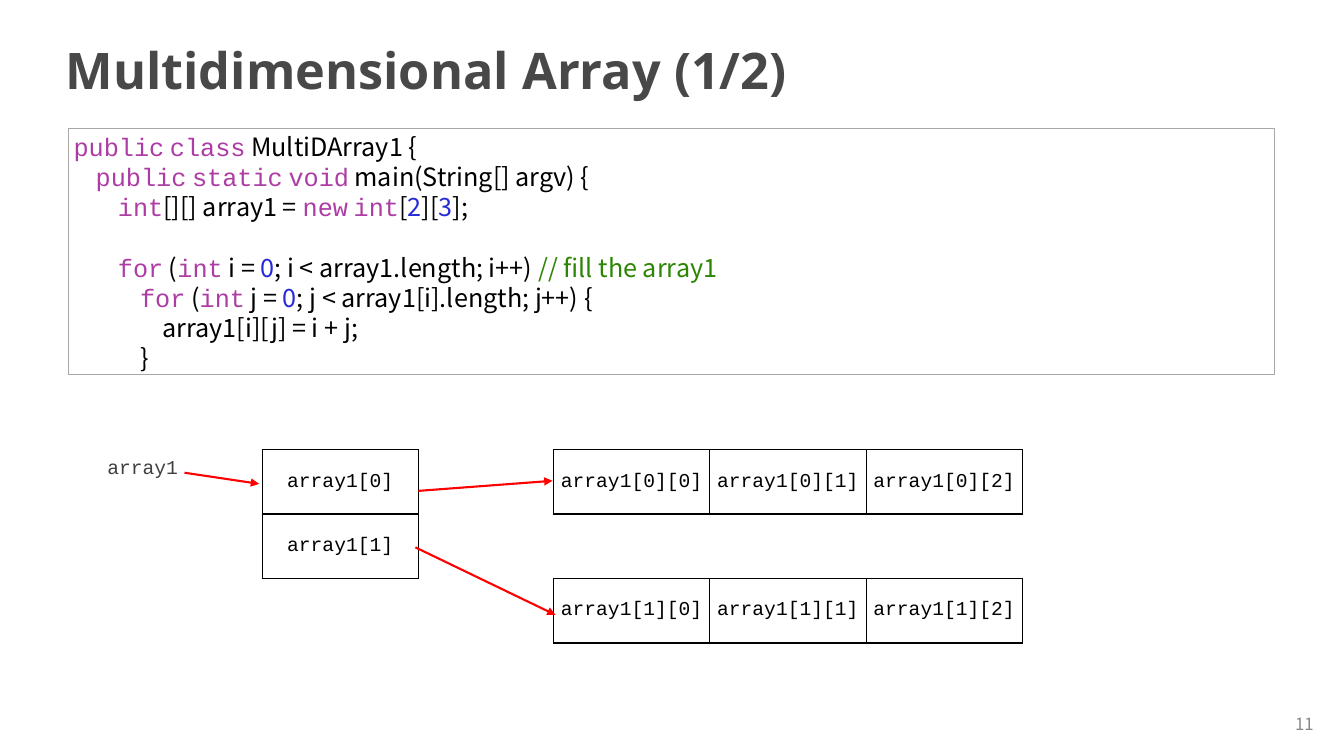
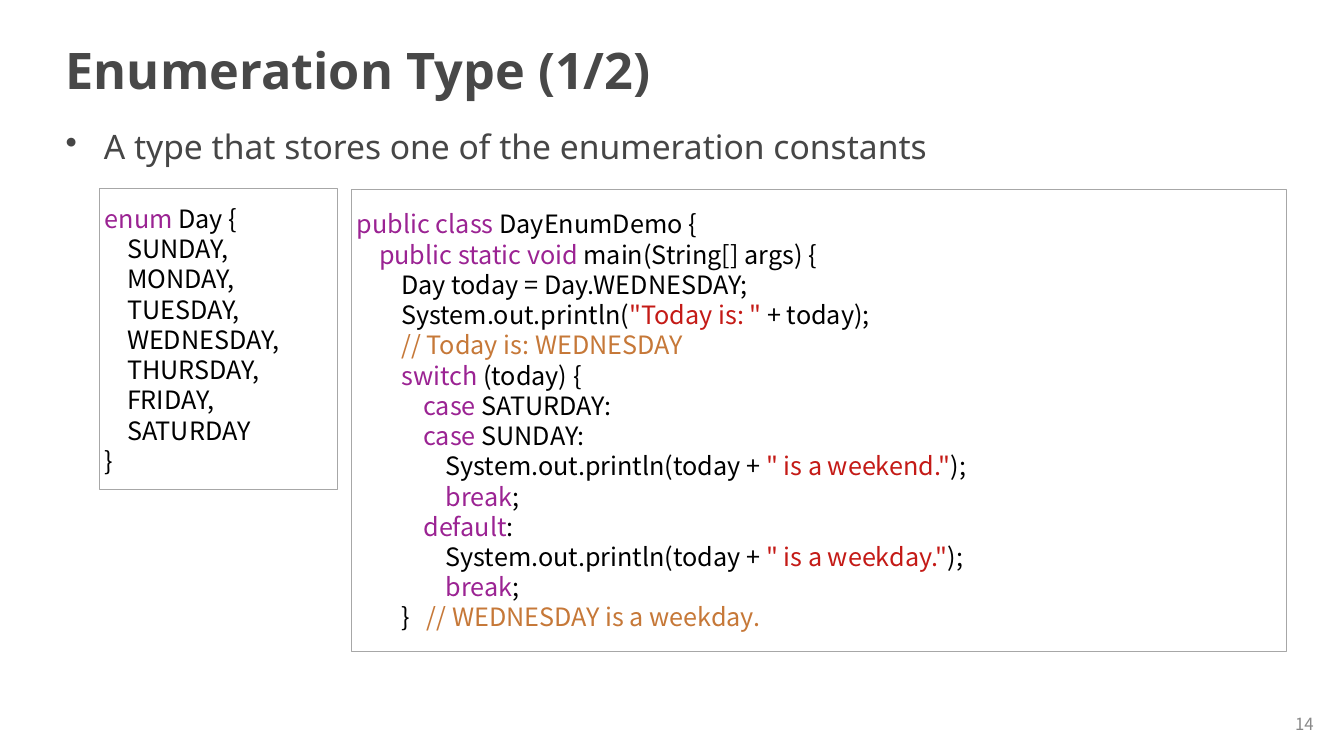
import itertools

import pptx
import pptx.dml.color
import pptx.enum.shapes
import pptx.enum.text
import pptx.oxml
import pptx.oxml.ns
import pptx.util

Inches = pptx.util.Inches
Pt = pptx.util.Pt
RGBColor = pptx.dml.color.RGBColor
ALIGN = pptx.enum.text.PP_ALIGN
ANCHOR = pptx.enum.text.MSO_ANCHOR

BLACK = RGBColor(0x00, 0x00, 0x00)
TITLE_GRAY = RGBColor(0x48, 0x48, 0x48)
BODY_GRAY = RGBColor(0x46, 0x46, 0x46)
LABEL_GRAY = RGBColor(0x40, 0x40, 0x40)
NUMBER_GRAY = RGBColor(0x88, 0x88, 0x88)
FRAME_GRAY = RGBColor(0xA7, 0xA7, 0xA7)
ARROW_RED = RGBColor(0xFF, 0x00, 0x00)

SANS = "Noto Sans"
CODE_SANS = "Noto Sans CJK KR"
MONO = "Courier New"

CODE_SIZE = 18
CODE_LINE_HEIGHT = Pt(21.6)
CODE_INDENT = Inches(0.22)
INSET = Inches(0.05)

KEYWORDS = {"public", "class", "static", "void", "int", "new", "for", "enum",
            "switch", "case", "break", "default"}

# Each kind of token has a colour and a font.
ARRAY_THEME = {
    "plain": (BLACK, CODE_SANS),
    "keyword": (RGBColor(0xAD, 0x3D, 0xA4), MONO),
    "number": (RGBColor(0x27, 0x2A, 0xD8), CODE_SANS),
    "comment": (RGBColor(0x2D, 0x85, 0x04), CODE_SANS),
}
ENUM_THEME = {
    "plain": (BLACK, CODE_SANS),
    "keyword": (RGBColor(0x9B, 0x23, 0x93), CODE_SANS),
    "string": (RGBColor(0xC4, 0x1A, 0x16), CODE_SANS),
    "comment": (RGBColor(0xC6, 0x78, 0x38), CODE_SANS),
}

# Code lines are (indent level, text).
ARRAY_CODE = [
    (0, "public class MultiDArray1 {"),
    (1, "public static void main(String[] argv) {"),
    (2, "int[][] array1 = new int[2][3];"),
    (0, ""),
    (2, "for (int i = 0; i < array1.length; i++) // fill the array1"),
    (3, "for (int j = 0; j < array1[i].length; j++) {"),
    (4, "array1[i][j] = i + j;"),
    (3, "}"),
]
DAYS = ["SUNDAY,", "MONDAY,", "TUESDAY,", "WEDNESDAY,", "THURSDAY,", "FRIDAY,",
        "SATURDAY"]
DAY_CODE = [(0, "enum Day {"), *((1, day) for day in DAYS), (0, "}")]
DEMO_CODE = [
    (0, "public class DayEnumDemo {"),
    (1, "public static void main(String[] args) {"),
    (2, "Day today = Day.WEDNESDAY;"),
    (2, 'System.out.println("Today is: " + today);'),
    (2, "// Today is: WEDNESDAY"),
    (2, "switch (today) {"),
    (3, "case SATURDAY:"),
    (3, "case SUNDAY:"),
    (4, 'System.out.println(today + " is a weekend.");'),
    (4, "break;"),
    (3, "default:"),
    (4, 'System.out.println(today + " is a weekday.");'),
    (4, "break;"),
    (2, "}   // WEDNESDAY is a weekday."),
]

ROW_TABLE = [["array1[0]"], ["array1[1]"]]
CELL_TABLE = [
    [f"array1[0][{column}]" for column in range(3)],
    [""] * 3,
    [f"array1[1][{column}]" for column in range(3)],
]
CELL_WIDTH = 1.55
CELL_HEIGHT = 0.64
ARROWS = [((1.83, 4.69), (2.57, 4.8)),
          ((4.15, 4.87), (5.48, 4.77)),
          ((4.12, 5.43), (5.51, 6.1))]


def add_run(paragraph, text, size, color, font=SANS, bold=False):
    run = paragraph.add_run()
    run.text = text
    run.font.size = Pt(size)
    run.font.color.rgb = color
    run.font.name = font
    run.font.bold = bold


def set_insets(target, vertical=INSET):
    target.margin_left = target.margin_right = INSET
    target.margin_top = target.margin_bottom = vertical


def add_text(slide, text, box, align=ALIGN.LEFT, anchor=ANCHOR.MIDDLE, wrap=True,
             **run_format):
    frame = slide.shapes.add_textbox(*map(Inches, box)).text_frame
    frame.word_wrap = wrap
    frame.vertical_anchor = anchor
    set_insets(frame)
    paragraph = frame.paragraphs[0]
    paragraph.alignment = align
    add_run(paragraph, text, **run_format)
    return paragraph


def add_bullet(slide, text, box):
    paragraph = add_text(slide, text, box, anchor=ANCHOR.TOP, size=24, color=BODY_GRAY)
    properties = paragraph._p.get_or_add_pPr()
    properties.set("marL", str(Inches(0.38)))
    properties.set("indent", str(-Inches(0.38)))
    bullet = pptx.oxml.ns.qn("a:buChar")
    properties.append(properties.makeelement(bullet, {"char": "•"}))


def code_tokens(line):
    """Yield (kind, text) for every token of a line of Java."""
    code, slashes, comment = line.partition("//")
    for index, piece in enumerate(code.split('"')):
        if index % 2:
            yield "string", f'"{piece}"'
            continue
        for _, characters in itertools.groupby(piece, str.isalnum):
            word = "".join(characters)
            kind = ("keyword" if word in KEYWORDS
                    else "number" if word.isdigit() else "plain")
            yield kind, word
    if slashes:
        yield "comment", slashes + comment


def add_code(slide, lines, box, theme):
    shape = slide.shapes.add_shape(pptx.enum.shapes.MSO_SHAPE.RECTANGLE,
                                   *map(Inches, box))
    shape.shadow.inherit = False
    shape.fill.background()
    shape.line.color.rgb = FRAME_GRAY
    shape.line.width = Pt(0.75)
    frame = shape.text_frame
    frame.word_wrap = True
    frame.vertical_anchor = ANCHOR.MIDDLE
    set_insets(frame, vertical=0)
    for index, (level, line) in enumerate(lines):
        paragraph = frame.add_paragraph() if index else frame.paragraphs[0]
        paragraph.alignment = ALIGN.LEFT
        paragraph.line_spacing = CODE_LINE_HEIGHT
        paragraph._p.get_or_add_pPr().set("marL", str(level * CODE_INDENT))
        for kind, tokens in itertools.groupby(code_tokens(line), lambda token: token[0]):
            color, font = theme[kind]
            add_run(paragraph, "".join(text for _, text in tokens), CODE_SIZE, color, font)


def set_borders(cell, sides):
    """Draw a black border on the named sides (L, R, T, B) and none elsewhere."""
    properties = cell._tc.get_or_add_tcPr()
    for position, side in enumerate("LRTB"):
        paint = (f'<a:solidFill><a:srgbClr val="{BLACK}"/></a:solidFill>'
                 if side in sides else "<a:noFill/>")
        border = pptx.oxml.parse_xml(
            f'<a:ln{side} {pptx.oxml.ns.nsdecls("a")} w="{Pt(1)}">{paint}</a:ln{side}>')
        properties.insert(position, border)


def add_array_table(slide, rows, left, top):
    """Draw an array as a table; empty cells keep only horizontal borders."""
    column_count = len(rows[0])
    table = slide.shapes.add_table(
        len(rows), column_count, Inches(left), Inches(top),
        Inches(CELL_WIDTH * column_count), Inches(CELL_HEIGHT * len(rows))).table
    table.first_row = table.horz_banding = False
    for row, texts in enumerate(rows):
        for column, text in enumerate(texts):
            cell = table.cell(row, column)
            cell.fill.background()
            cell.vertical_anchor = ANCHOR.MIDDLE
            set_insets(cell)
            set_borders(cell, "LRTB" if text else "TB")
            if text:
                paragraph = cell.text_frame.paragraphs[0]
                paragraph.alignment = ALIGN.CENTER
                add_run(paragraph, text, 14, BLACK, MONO)


def add_arrow(slide, start, end):
    connector = slide.shapes.add_connector(
        pptx.enum.shapes.MSO_CONNECTOR.STRAIGHT, *map(Inches, start + end))
    connector.line.color.rgb = ARROW_RED
    connector.line.width = Pt(1.5)
    line = connector.line._get_or_add_ln()
    line.append(line.makeelement(pptx.oxml.ns.qn("a:tailEnd"), {"type": "triangle"}))
    properties = connector._element.spPr
    properties.append(properties.makeelement(pptx.oxml.ns.qn("a:effectLst"), {}))


def add_titled_slide(presentation, title, number):
    slide = presentation.slides.add_slide(presentation.slide_layouts[6])
    add_text(slide, title, (0.6, 0.29, 12.08, 0.79), size=36, color=TITLE_GRAY, bold=True)
    add_text(slide, str(number), (12.77, 7.04, 0.31, 0.28), align=ALIGN.RIGHT, wrap=False,
             size=12, color=NUMBER_GRAY, font=CODE_SANS)
    return slide


def build_array_slide(presentation):
    slide = add_titled_slide(presentation, "Multidimensional Array (1/2)", 11)
    add_code(slide, ARRAY_CODE, (0.68, 1.28, 11.96, 2.44), ARRAY_THEME)
    add_text(slide, "array1", (1.01, 4.45, 0.81, 0.35), align=ALIGN.CENTER, wrap=False,
             size=14, color=LABEL_GRAY, font=MONO)
    add_array_table(slide, ROW_TABLE, 2.6, 4.46)
    add_array_table(slide, CELL_TABLE, 5.49, 4.46)
    for start, end in ARROWS:
        add_arrow(slide, start, end)


def build_enumeration_slide(presentation):
    slide = add_titled_slide(presentation, "Enumeration Type (1/2)", 14)
    add_bullet(slide, "A type that stores one of the enumeration constants",
               (0.6, 1.2, 12.08, 0.56))
    add_code(slide, DAY_CODE, (0.99, 1.87, 2.36, 2.99), ENUM_THEME)
    add_code(slide, DEMO_CODE, (3.49, 1.88, 9.27, 4.58), ENUM_THEME)


def main():
    presentation = pptx.Presentation()
    presentation.slide_width = Inches(13.33)
    presentation.slide_height = Inches(7.5)
    build_array_slide(presentation)
    build_enumeration_slide(presentation)
    presentation.save("out.pptx")


if __name__ == "__main__":
    main()
